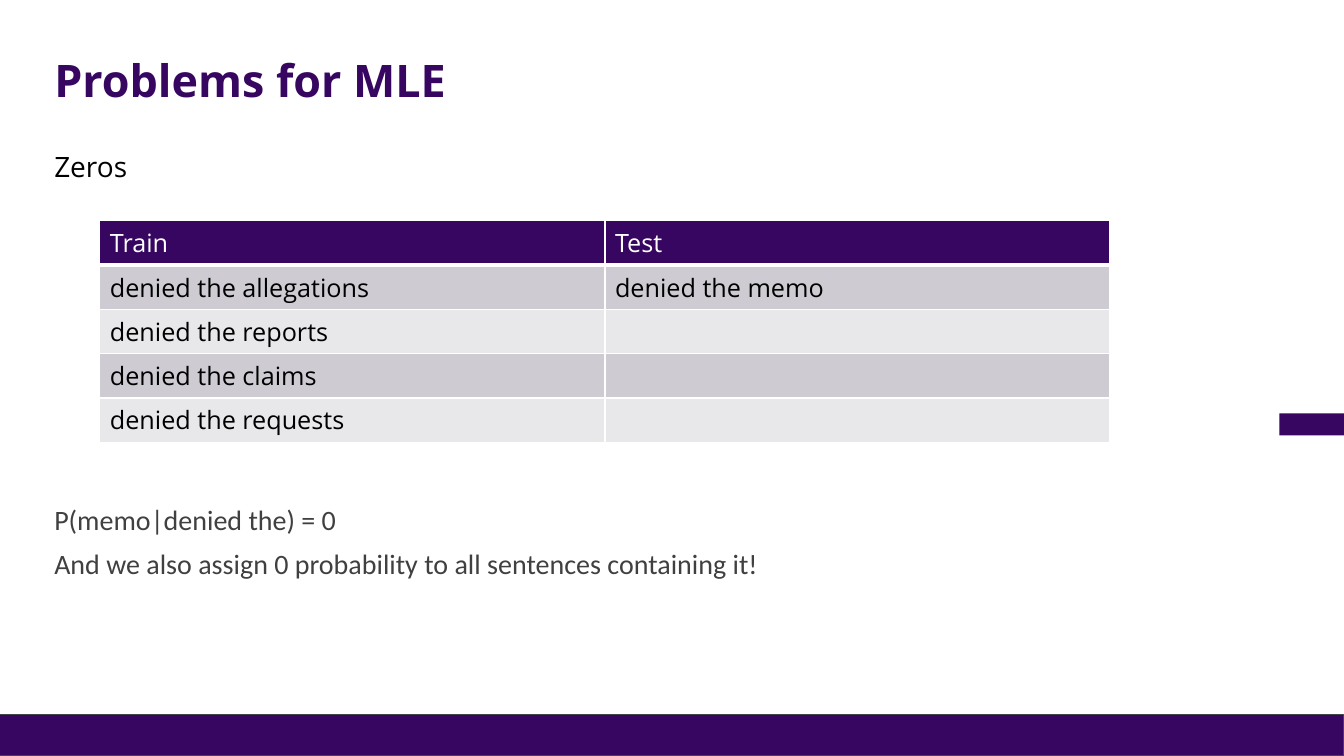
import pptx
import pptx.dml.color
import pptx.enum.shapes
import pptx.enum.text
import pptx.oxml
import pptx.oxml.ns
import pptx.util

RGBColor = pptx.dml.color.RGBColor
PURPLE = RGBColor(0x37, 0x06, 0x60)
BAR_PURPLE = RGBColor(0x37, 0x06, 0x61)
BAR_EDGE = RGBColor(0x43, 0x45, 0x4B)
BLACK = RGBColor(0, 0, 0)
WHITE = RGBColor(0xFF, 0xFF, 0xFF)
GRAY = RGBColor(0x40, 0x40, 0x40)
DARK_BAND = RGBColor(0xCE, 0xCC, 0xD2)
LIGHT_BAND = RGBColor(0xE8, 0xE7, 0xEA)

WIDTH, HEIGHT = 13.33, 7.5
MARGIN = 0.44
COLUMN_WIDTH, ROW_HEIGHT = 5.01, 0.44
ROWS = [
    ("Train", "Test"),
    ("denied the allegations", "denied the memo"),
    ("denied the reports", ""),
    ("denied the claims", ""),
    ("denied the requests", ""),
]


def inches(*lengths):
    return [pptx.util.Inches(length) for length in lengths]


def write_text(frame, lines, *, size, color, font="Open Sans", bold=False,
               spacing=1.0, gap=0):
    for index, line in enumerate(lines):
        paragraph = frame.paragraphs[0] if index == 0 else frame.add_paragraph()
        paragraph.line_spacing = spacing
        if index:
            paragraph.space_before = pptx.util.Pt(gap)
        run = paragraph.add_run()
        run.text = line
        run.font.size = pptx.util.Pt(size)
        run.font.name = font
        run.font.bold = bold
        run.font.color.rgb = color


def add_text_box(slide, top, width, height, lines, *, middle=False, **text_format):
    frame = slide.shapes.add_textbox(*inches(MARGIN, top, width, height)).text_frame
    frame.word_wrap = True
    anchors = pptx.enum.text.MSO_ANCHOR
    frame.vertical_anchor = anchors.MIDDLE if middle else anchors.TOP
    write_text(frame, lines, spacing=0.9, **text_format)


def add_bar(slide, left, top, width, height, edge=None):
    shape = slide.shapes.add_shape(
        pptx.enum.shapes.MSO_SHAPE.RECTANGLE, *inches(left, top, width, height))
    shape.shadow.inherit = False
    shape.fill.solid()
    shape.fill.fore_color.rgb = BAR_PURPLE
    if edge is None:
        shape.line.fill.background()
    else:
        shape.line.color.rgb = edge
        shape.line.width = pptx.util.Pt(0.75)


def set_borders(cell, widths):
    properties = cell._tc.get_or_add_tcPr()
    for index, (side, width) in enumerate(widths.items()):
        border = pptx.oxml.parse_xml(
            f'<a:{side} {pptx.oxml.ns.nsdecls("a")} w="{pptx.util.Pt(width)}">'
            f'<a:solidFill><a:srgbClr val="{WHITE}"/></a:solidFill></a:{side}>')
        properties.insert(index, border)


def add_phrase_table(slide, left, top):
    columns = len(ROWS[0])
    table = slide.shapes.add_table(
        len(ROWS), columns,
        *inches(left, top, columns * COLUMN_WIDTH, len(ROWS) * ROW_HEIGHT)).table
    for row_index, phrases in enumerate(ROWS):
        header = row_index == 0
        band = DARK_BAND if row_index % 2 else LIGHT_BAND
        for column_index, phrase in enumerate(phrases):
            cell = table.cell(row_index, column_index)
            cell.fill.solid()
            cell.fill.fore_color.rgb = PURPLE if header else band
            set_borders(cell, {"lnL": 1, "lnR": 1, "lnT": 3 if row_index == 1 else 1,
                               "lnB": 3 if header else 1})
            if phrase:
                write_text(cell.text_frame, [phrase], size=18,
                           color=WHITE if header else BLACK)


def main():
    presentation = pptx.Presentation()
    presentation.slide_width, presentation.slide_height = inches(WIDTH, HEIGHT)
    slide = presentation.slides.add_slide(presentation.slide_layouts[6])
    add_bar(slide, 0, HEIGHT - 0.41, WIDTH, 0.41, edge=BAR_EDGE)
    add_bar(slide, WIDTH - 0.64, 4.1, 0.64, 0.22)
    add_text_box(slide, 0.4, 11.98, 0.84, ["Problems for MLE"], middle=True,
                 size=32, color=PURPLE, bold=True)
    add_text_box(slide, 1.47, 11.5, 0.5, ["Zeros"], size=20, color=BLACK)
    add_phrase_table(slide, 0.99, 2.19)
    add_text_box(slide, 4.97, 11.5, 1.74,
                 ["P(memo|denied the) = 0",
                  "And we also assign 0 probability to all sentences containing it!"],
                 size=20, color=GRAY, font="Calibri", gap=10)
    presentation.save("out.pptx")


if __name__ == "__main__":
    main()
